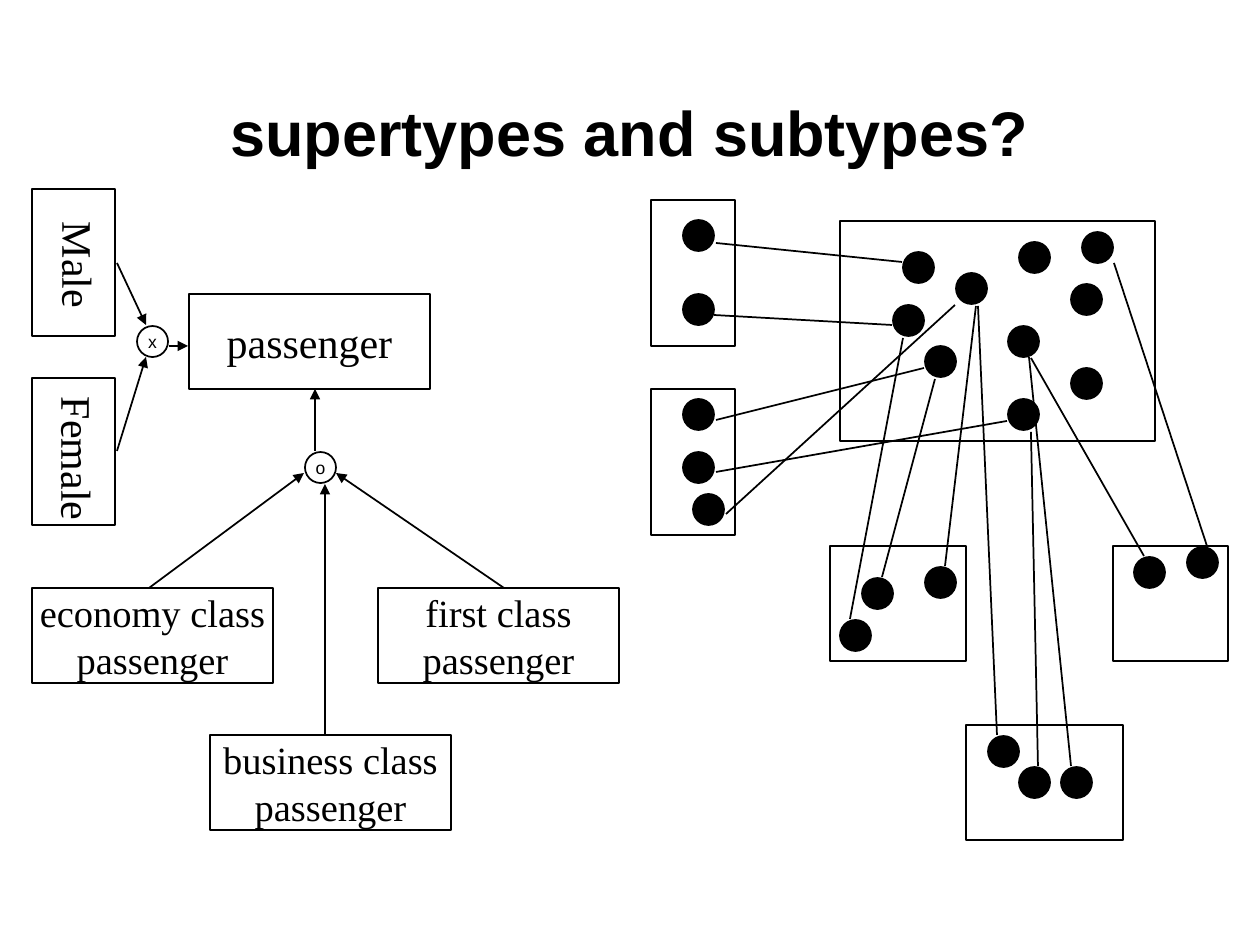
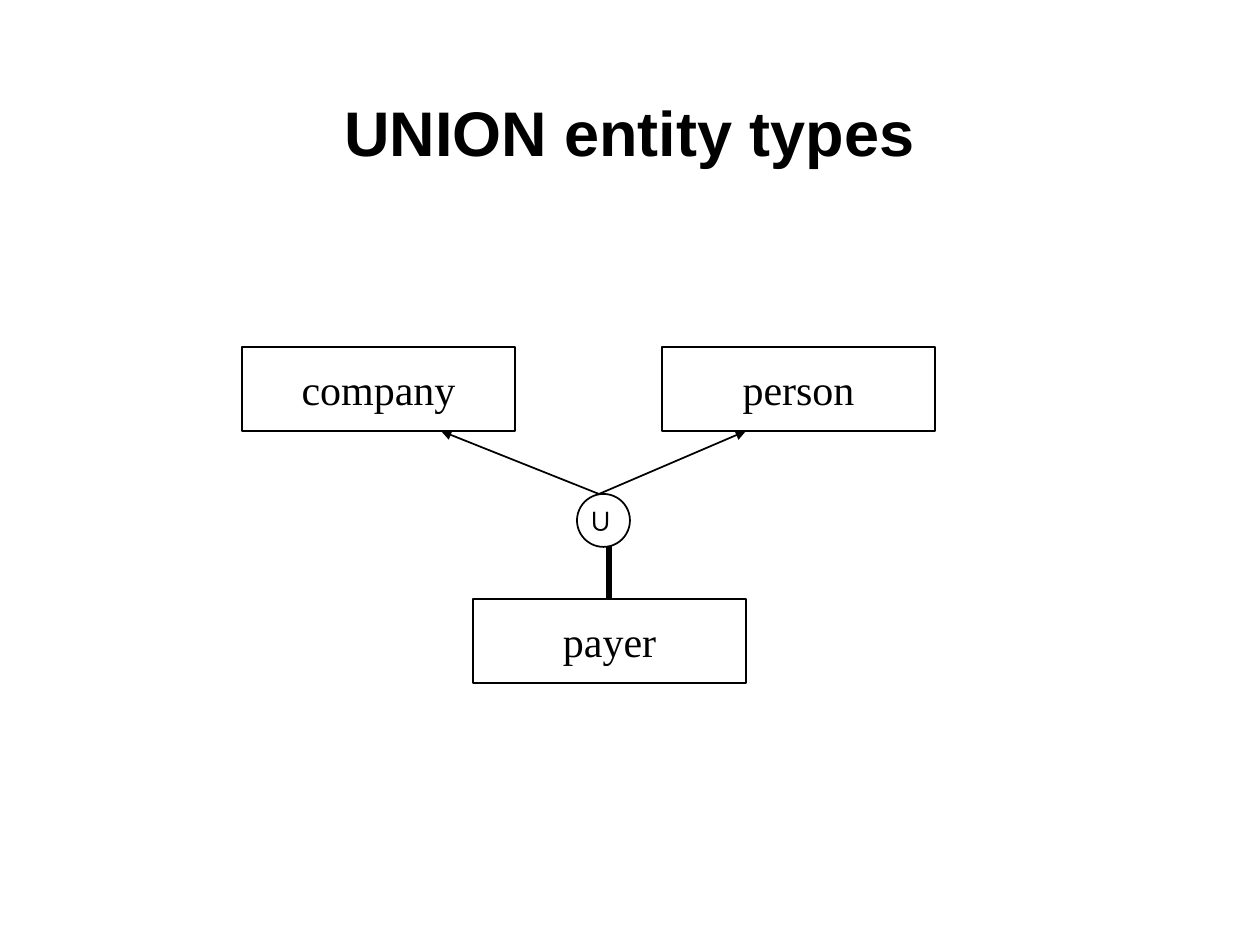
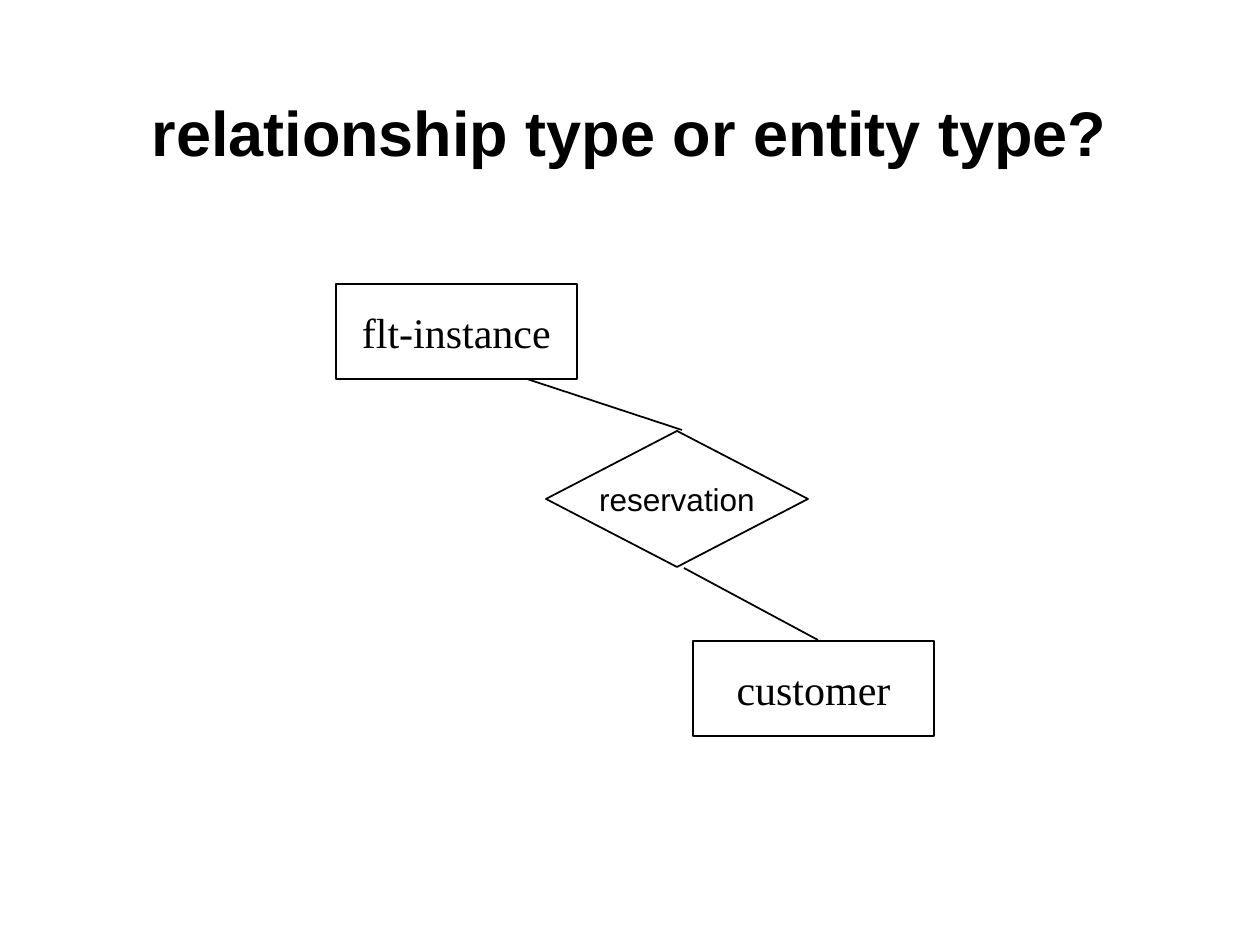
from lxml import etree
from pptx import Presentation, util as u
from pptx.dml.color import RGBColor
from pptx.enum import shapes as s, text as t
from pptx.oxml.ns import qn

PX = u.Inches(1) / 126
BLACK = RGBColor(0, 0, 0)
SANS, SERIF = "Arial", "Times New Roman"
RECT, OVAL = s.MSO_SHAPE.RECTANGLE, s.MSO_SHAPE.OVAL
DIAMOND = s.MSO_SHAPE.DIAMOND
LEFT, CENTER = t.PP_ALIGN.LEFT, t.PP_ALIGN.CENTER
TOP, MIDDLE = t.MSO_ANCHOR.TOP, t.MSO_ANCHOR.MIDDLE

ENTITY = {"name": SERIF, "size": u.Pt(24), "bold": False}
SUBTYPE = {**ENTITY, "size": u.Pt(22)}
CONSTRAINT = {"name": SANS, "size": u.Pt(10), "bold": False}
RELATIONSHIP = {**CONSTRAINT, "size": u.Pt(18)}
UNION = {"name": SANS, "size": u.Pt(18), "bold": True}
TITLE = {**UNION, "size": u.Pt(36)}


def place(canvas, kind, box, label="", font=ENTITY, filled=False,
          align=CENTER, anchor=MIDDLE, wrap=False):
    """Add an outlined shape, or a plain text box when kind is None."""
    edges = [round(edge * PX) for edge in box]
    if kind is None:
        item = canvas.add_textbox(*edges)
    else:
        item = canvas.add_shape(kind, *edges)
        item.shadow.inherit = False
        item.line.color.rgb = BLACK
        item.line.width = u.Pt(1)
        if filled:
            item.fill.solid()
            item.fill.fore_color.rgb = BLACK
        else:
            item.fill.background()
    if label:
        frame = item.text_frame
        frame.text = label
        frame.word_wrap = wrap
        frame.vertical_anchor = anchor
        for paragraph in frame.paragraphs:
            paragraph.alignment = align
            paragraph.font.color.rgb = BLACK
            for key, value in font.items():
                setattr(paragraph.font, key, value)
    return item


def link(canvas, x1, y1, x2, y2, arrow=False, width=1):
    ends = [round(end * PX) for end in (x1, y1, x2, y2)]
    line = canvas.add_connector(s.MSO_CONNECTOR.STRAIGHT, *ends)
    line.line.color.rgb = BLACK
    line.line.width = u.Pt(width)
    if arrow:
        outline = line._element.spPr.find(qn("a:ln"))
        etree.SubElement(outline, qn("a:tailEnd"), type="triangle")
    etree.SubElement(line._element.spPr, qn("a:effectLst"))


deck = Presentation()
deck.slide_width, deck.slide_height = u.Inches(10), u.Inches(7.5)
canvases = []
for title in ("supertypes and subtypes?", "UNION entity types",
              "relationship type or entity type?"):
    slide = deck.slides.add_slide(deck.slide_layouts[6])
    place(slide.shapes, None, (94, 53, 1071, 157), title, TITLE, wrap=True)
    canvases.append(slide.shapes)
subtypes, union, relationship = canvases

# Supertype hierarchy
hierarchy = subtypes.add_group_shape().shapes
for x, y, label, font in (
    (189, 294, "passenger", ENTITY),
    (378, 588, "first class\npassenger", SUBTYPE),
    (210, 735, "business class\npassenger", SUBTYPE),
    (32, 588, "economy class\npassenger", SUBTYPE),
):
    place(hierarchy, RECT, (x, y, 241, 95), label, font)
for x, y, label in ((305, 452, "o"), (137, 326, "x")):
    place(hierarchy, OVAL, (x, y, 31, 31), label, CONSTRAINT)
for y in (189, 378):
    place(hierarchy, RECT, (32, y, 83, 147))
for ends in (
    (325, 735, 325, 484), (149, 588, 304, 473), (504, 588, 336, 473),
    (315, 451, 315, 389), (169, 346, 188, 346), (117, 451, 146, 357),
    (117, 263, 146, 325),
):
    link(hierarchy, *ends, arrow=True)

# Members of each type, and the links between them
members = subtypes.add_group_shape().shapes
for box in (
    (840, 221, 315, 220),                        # passenger
    (651, 200, 84, 146), (651, 389, 84, 146),    # male, female
    (830, 546, 136, 115),                        # economy
    (966, 725, 157, 115),                        # business
    (1113, 546, 115, 115),                       # first
):
    place(members, RECT, box)
for x, y in (
    (956, 273), (1071, 368), (925, 346), (1019, 242), (1082, 232),
    (1071, 284), (1008, 399), (893, 305), (1008, 326), (903, 252),
    (683, 220), (683, 294), (683, 399), (683, 452), (693, 494),
    (862, 578), (925, 567), (840, 620),
    (1061, 767), (1019, 767), (988, 736),
    (1134, 557), (1187, 547),
):
    place(members, OVAL, (x, y, 31, 31), filled=True)
for ends in (
    (903, 338, 850, 619), (935, 379, 882, 577), (976, 306, 945, 566),
    (978, 306, 997, 735), (1031, 432, 1038, 766), (1071, 766, 1029, 357),
    (1031, 358, 1144, 556), (1114, 263, 1207, 546),
    (716, 243, 902, 262), (892, 325, 714, 315), (716, 420, 924, 368),
    (716, 472, 1007, 421), (726, 514, 955, 305),
):
    link(members, *ends)

for box, label in (((19, 238, 120, 63), "Male"), ((0, 431, 156, 63), "Female")):
    gender = place(subtypes, None, box, label, align=LEFT, anchor=TOP, wrap=True)
    gender.rotation = 90

# Union of two entity types
for x, y, label in ((242, 347, "company"), (473, 599, "payer"), (662, 347, "person")):
    place(union, RECT, (x, y, 273, 84), label)
place(union, OVAL, (577, 494, 53, 53))
union_sign = place(union, None, (577, 494, 53, 50), "∪", UNION,
                   align=LEFT, anchor=TOP, wrap=True)
union_sign.text_frame.paragraphs[0].space_before = u.Pt(11.2)
for x in (441, 746):
    link(union, 599, 494, x, 431, arrow=True)
link(union, 609, 599, 609, 546, width=3)

# Relationship between two entity types
booking = relationship.add_group_shape().shapes
for x, y, label in ((336, 284, "flt-instance"), (693, 641, "customer")):
    place(booking, RECT, (x, y, 241, 95), label)
place(booking, DIAMOND, (546, 431, 262, 136), "reservation", RELATIONSHIP)
for ends in ((527, 379, 682, 430), (684, 568, 818, 640)):
    link(booking, *ends)

deck.save("out.pptx")
